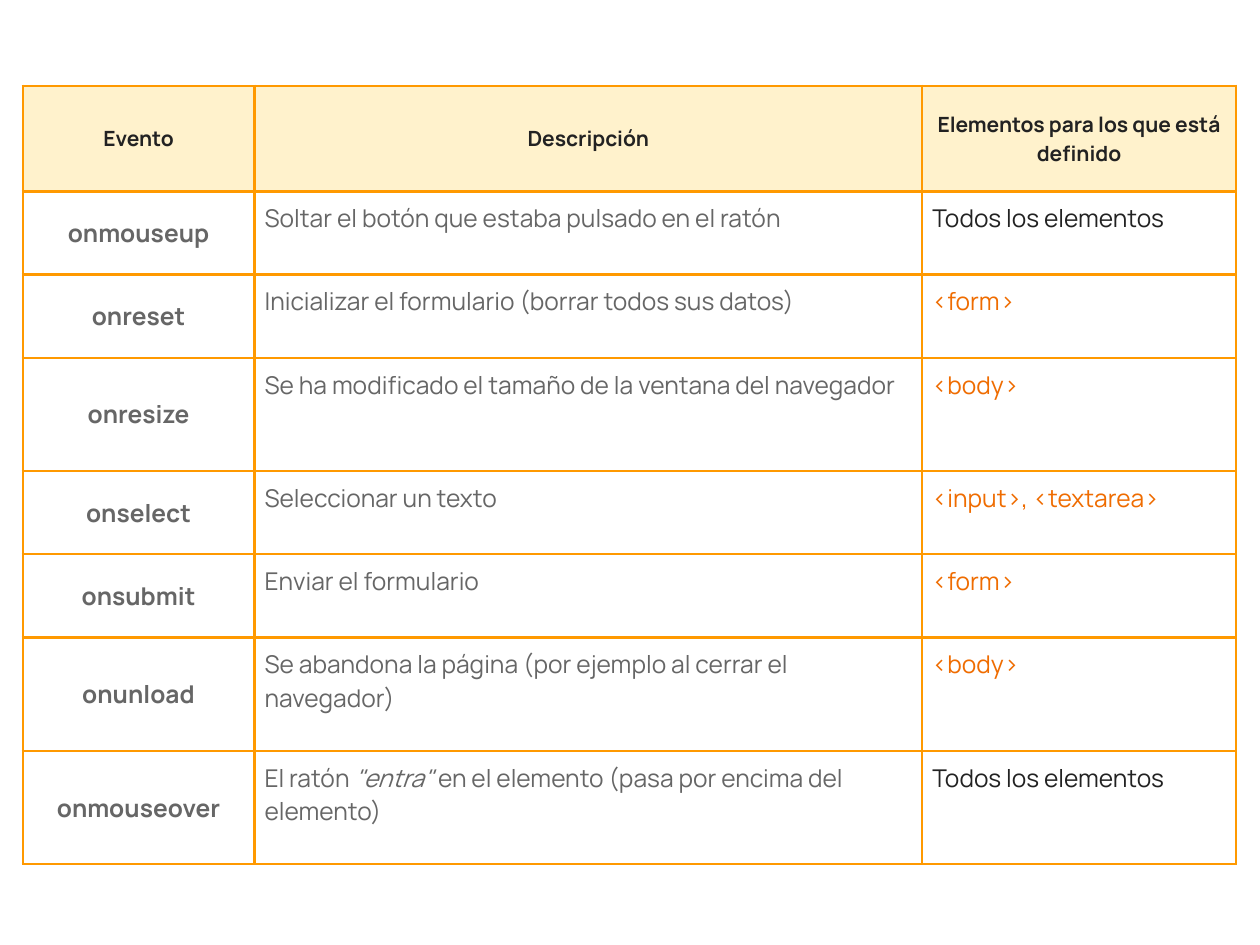
import lxml.etree
import pptx
import pptx.dml.color
import pptx.enum.text
import pptx.oxml.ns
import pptx.util
from pptx.util import Inches

COLORS = {
    "border": "FF9900",
    "header": "FFF2CC",
    "body": "FFFFFF",
    "dark": "222222",
    "gray": "666666",
    "tag": "EF6C00",
}
FONT = "Manrope"

HEADERS = ["Evento", "Descripción", "Elementos para los que está definido"]
# A description is a list of pieces; every second piece is italic
EVENTS = [
    ("onmouseup", ["Soltar el botón que estaba pulsado en el ratón"], "Todos los elementos"),
    ("onreset", ["Inicializar el formulario (borrar todos sus datos)"], "<form>"),
    ("onresize", ["Se ha modificado el tamaño de la ventana del navegador"], "<body>"),
    ("onselect", ["Seleccionar un texto"], "<input>, <textarea>"),
    ("onsubmit", ["Enviar el formulario"], "<form>"),
    ("onunload", ["Se abandona la página (por ejemplo al cerrar el navegador)"], "<body>"),
    ("onmouseover",
     ["El ratón ", '"entra"', " en el elemento (pasa por encima del elemento)"],
     "Todos los elementos"),
]
COLUMN_WIDTHS = [1.84, 5.3, 2.49]
ROW_HEIGHTS = [0.84, 0.66, 0.66, 0.9, 0.66, 0.66, 0.9, 0.9]


def add_borders(cell):
    properties = cell._tc.get_or_add_tcPr()
    for position, side in enumerate(["lnL", "lnR", "lnT", "lnB"]):
        line = lxml.etree.Element(pptx.oxml.ns.qn("a:" + side), w=str(pptx.util.Pt(1.5)))
        fill = lxml.etree.SubElement(line, pptx.oxml.ns.qn("a:solidFill"))
        lxml.etree.SubElement(fill, pptx.oxml.ns.qn("a:srgbClr"), val=COLORS["border"])
        properties.insert(position, line)


def fill_cell(cell, pieces, color, size=14, heading=False, background="body"):
    cell.fill.solid()
    cell.fill.fore_color.rgb = pptx.dml.color.RGBColor.from_string(COLORS[background])
    add_borders(cell)
    cell.margin_left = cell.margin_right = Inches(0.08)
    cell.margin_top = cell.margin_bottom = Inches(0.08)
    paragraph = cell.text_frame.paragraphs[0]
    paragraph.space_before = paragraph.space_after = pptx.util.Pt(11)
    if heading:
        cell.vertical_anchor = pptx.enum.text.MSO_ANCHOR.MIDDLE
        paragraph.alignment = pptx.enum.text.PP_ALIGN.CENTER
    for index, piece in enumerate(pieces):
        run = paragraph.add_run()
        run.text = piece
        run.font.name = FONT
        run.font.size = pptx.util.Pt(size)
        run.font.bold = heading
        run.font.italic = index % 2 == 1
        run.font.color.rgb = pptx.dml.color.RGBColor.from_string(COLORS[color])


# Slide
presentation = pptx.Presentation()
presentation.slide_width = Inches(10)
presentation.slide_height = Inches(7.5)
slide = presentation.slides.add_slide(presentation.slide_layouts[6])

# Table grid
table = slide.shapes.add_table(
    len(ROW_HEIGHTS), len(COLUMN_WIDTHS), Inches(0.18), Inches(0.68),
    Inches(sum(COLUMN_WIDTHS)), Inches(sum(ROW_HEIGHTS)),
).table
for column, width in zip(table.columns, COLUMN_WIDTHS):
    column.width = Inches(width)
for row, height in zip(table.rows, ROW_HEIGHTS):
    row.height = Inches(height)

# Header row
for column_index, header in enumerate(HEADERS):
    fill_cell(table.cell(0, column_index), [header], "dark", size=12,
              heading=True, background="header")

# Event rows
for row_index, (event, description, elements) in enumerate(EVENTS, start=1):
    fill_cell(table.cell(row_index, 0), [event], "gray", heading=True)
    fill_cell(table.cell(row_index, 1), description, "gray")
    elements_color = "tag" if elements.startswith("<") else "dark"
    fill_cell(table.cell(row_index, 2), [elements], elements_color)

presentation.save("out.pptx")
